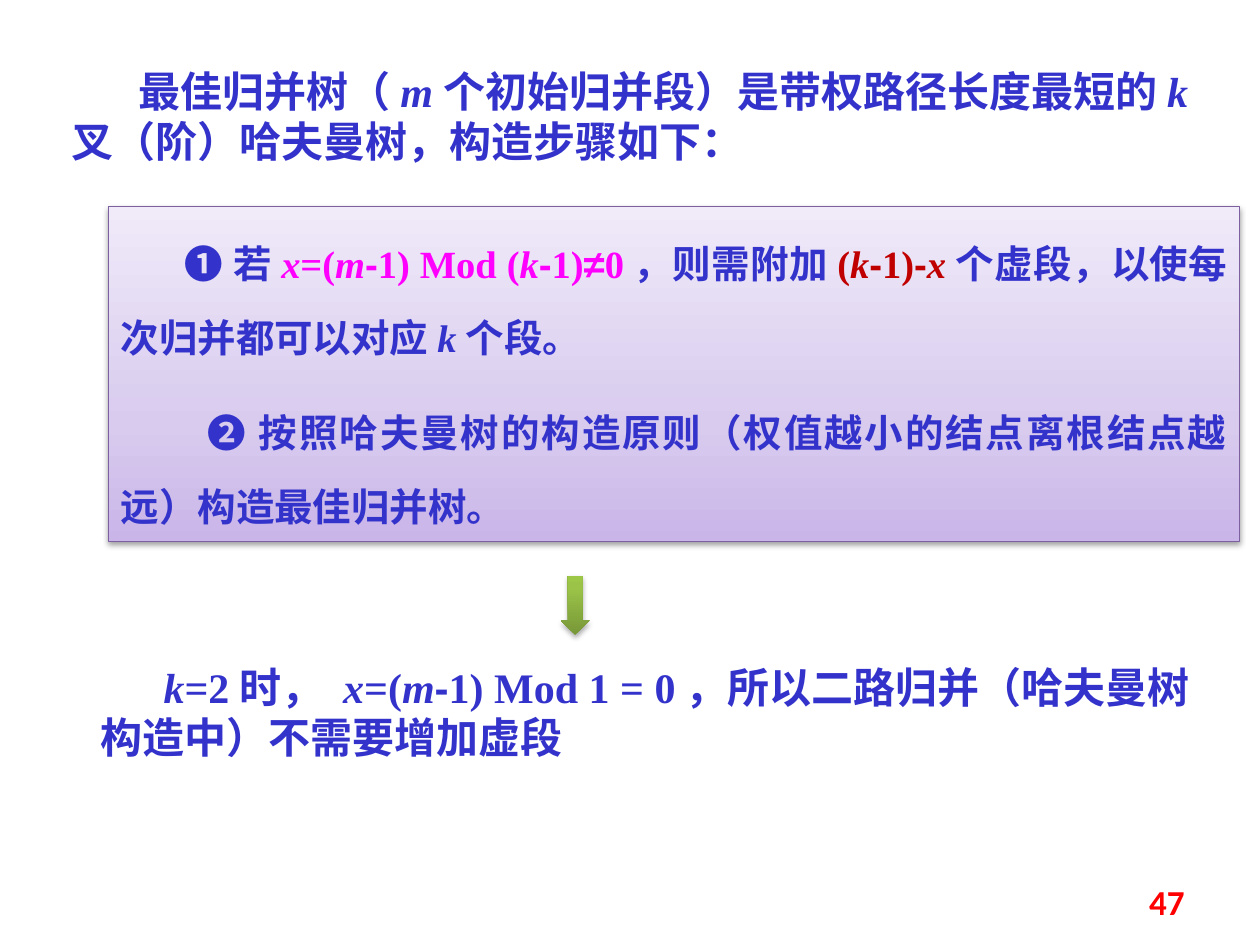
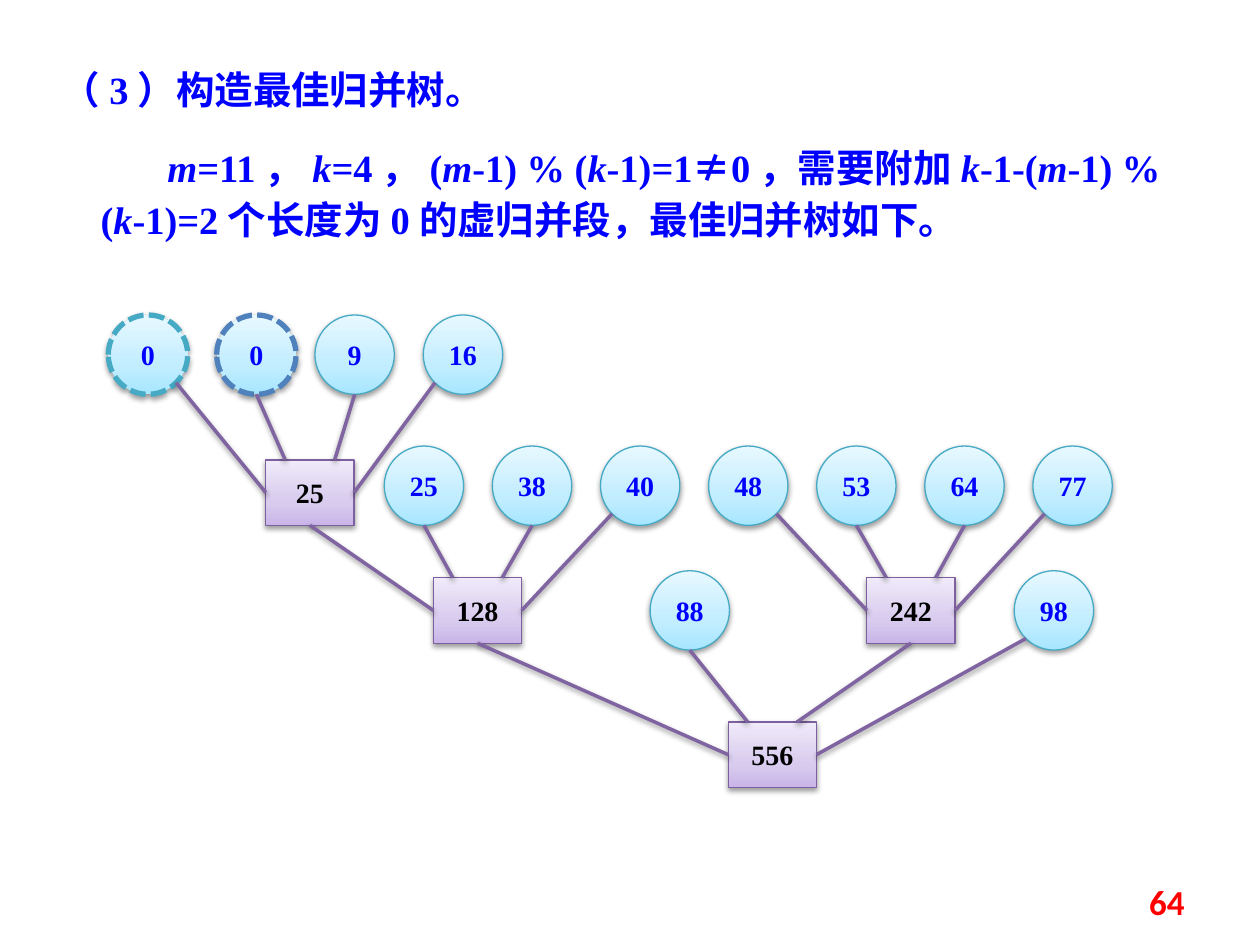
from dataclasses import dataclass
from itertools import groupby
from math import sqrt

from lxml.etree import SubElement
from pptx import Presentation
from pptx.dml.color import RGBColor
from pptx.enum.dml import MSO_LINE
from pptx.enum.shapes import MSO_CONNECTOR, MSO_SHAPE
from pptx.enum.text import MSO_ANCHOR, MSO_AUTO_SIZE, PP_ALIGN
from pptx.oxml.ns import qn
from pptx.util import Inches, Pt

OVAL, RECT, DOWN = MSO_SHAPE.OVAL, MSO_SHAPE.RECTANGLE, MSO_SHAPE.DOWN_ARROW
STRAIGHT = MSO_CONNECTOR.STRAIGHT
DASHED = MSO_LINE.SQUARE_DOT
TOP, MIDDLE = MSO_ANCHOR.TOP, MSO_ANCHOR.MIDDLE
LEFT, CENTER, RIGHT, JUSTIFY = (PP_ALIGN.LEFT, PP_ALIGN.CENTER,
                                PP_ALIGN.RIGHT, PP_ALIGN.JUSTIFY)
GROW, FIXED = MSO_AUTO_SIZE.SHAPE_TO_FIT_TEXT, MSO_AUTO_SIZE.NONE
TITLE_ONLY, BLANK = 5, 6

COLUMNS, ROWS = 100, 75
CELL = Inches(0.1)

SERIF, SANS, CJK, NUMBERS = ("Times New Roman", "Arial",
                             "Noto Sans CJK SC", "Calibri")
INDIGO, BLUE, MAGENTA, CRIMSON = "3333CC", "0000FF", "FF00FF", "C00000"
RED, BLACK, TEAL, STEEL = "FF0000", "000000", "46AAC5", "4F81BD"
VIOLET, EDGE_VIOLET = "7D60A0", "8064A2"
LILAC_FADE = [(0, "C9B5E8"), (35, "D8CBEE"), (100, "F0EAF9")]
SKY_FADE = [(0, "A7E6FF"), (35, "C1EDFF"), (100, "E7F8FF")]
GREEN_FADE = [(0, "779737"), (80, "9BC348"), (100, "9DC746")]

LEAF_SIZE = 6.3
MERGE_WIDTH, MERGE_HEIGHT = 7, 5.2
LEAF_STEP = 8.58


@dataclass
class Node:
    x: float
    y: float
    is_leaf: bool

    def exit_point(self, slot):
        if not self.is_leaf:
            return self.x, self.y + MERGE_HEIGHT / 2
        radius = LEAF_SIZE / 2
        diagonal = radius / sqrt(2)
        shift, drop = [(diagonal, diagonal), (0, radius),
                       (0, radius), (-diagonal, diagonal)][slot]
        return self.x + shift, self.y + drop

    def entry_point(self, slot):
        side, top = MERGE_WIDTH / 2, -MERGE_HEIGHT / 2
        shift, drop = [(-side, 0), (-0.28 * MERGE_WIDTH, top),
                       (0.28 * MERGE_WIDTH, top), (side, 0)][slot]
        return self.x + shift, self.y + drop


def rgb(code):
    return RGBColor.from_string(code)


def grid(*cells):
    return [int(cell * CELL) for cell in cells]


def cast_shadow(item, opacity=38):
    effects = SubElement(item._element.spPr, qn("a:effectLst"))
    shadow = SubElement(effects, qn("a:outerShdw"), blurRad="40000",
                        dist="20000", dir="5400000", rotWithShape="0")
    black = SubElement(shadow, qn("a:srgbClr"), val=BLACK)
    SubElement(black, qn("a:alpha"), val=str(opacity * 1000))


def fade(shape, stops):
    shape.fill.gradient()
    shape.fill.gradient_angle = 90
    stop_list = shape._element.spPr.find(".//" + qn("a:gsLst"))
    stop_list.clear()
    for position, code in stops:
        stop = SubElement(stop_list, qn("a:gs"), pos=str(position * 1000))
        SubElement(stop, qn("a:srgbClr"), val=code)


def add_faded(slide, kind, place, stops, line=None, weight=0.75, dash=None,
              opacity=38):
    shape = slide.shapes.add_shape(kind, *grid(*place))
    fade(shape, stops)
    if line:
        shape.line.color.rgb = rgb(line)
        shape.line.width = Pt(weight)
        if dash:
            shape.line.dash_style = dash
    else:
        shape.line.fill.background()
    cast_shadow(shape, opacity)
    return shape


def style(paragraph, size, color, font=SERIF, align=LEFT, indent=0):
    paragraph.alignment = align
    paragraph.font.size = Pt(size)
    paragraph.font.bold = True
    paragraph.font.color.rgb = rgb(color)
    paragraph.font.name = font
    properties = paragraph._p.get_or_add_pPr()
    SubElement(properties.find(qn("a:defRPr")), qn("a:ea"), typeface=CJK)
    if indent:
        properties.set("marL", "0")
        properties.set("indent", str(grid(indent)[0]))


def write(paragraph, parts, symbol_fonts):
    italic = False
    for text, color in parts:
        for index, piece in enumerate(text.split("_")):
            if index:
                italic = not italic
            for font, letters in groupby(piece, symbol_fonts.get):
                run = paragraph.add_run()
                run.text = "".join(letters)
                if italic:
                    run.font.italic = True
                if font:
                    run.font.name = font
                if color:
                    run.font.color.rgb = rgb(color)


def add_text(slide, place, parts, size, color, indent=0, spacing=None,
             symbol_fonts=None):
    frame = slide.shapes.add_textbox(*grid(*place)).text_frame
    frame.word_wrap = True
    frame.auto_size = GROW
    paragraph = frame.paragraphs[0]
    write(paragraph, parts, symbol_fonts or {})
    style(paragraph, size, color, indent=indent)
    if spacing:
        paragraph.line_spacing = Pt(spacing)


def add_page_number(slide, number):
    place = 0.717 * COLUMNS, 0.927 * ROWS, 0.233 * COLUMNS, 4
    frame = slide.shapes.add_textbox(*grid(*place)).text_frame
    frame.word_wrap = True
    frame.vertical_anchor = MIDDLE
    frame.text = str(number)
    style(frame.paragraphs[0], 20, RED, NUMBERS, RIGHT)


def add_steps(slide, place, steps, symbol_fonts):
    panel = add_faded(slide, RECT, place, LILAC_FADE, VIOLET)
    frame = panel.text_frame
    frame.word_wrap = True
    frame.auto_size = GROW
    frame.vertical_anchor = TOP
    for index, (indent, parts) in enumerate(steps):
        paragraph = frame.add_paragraph() if index else frame.paragraphs[0]
        write(paragraph, parts, symbol_fonts)
        style(paragraph, 22, INDIGO, align=JUSTIFY, indent=indent)
        paragraph.line_spacing = 1.6
        paragraph.space_before = Pt(12)


def label(shape, value, color):
    frame = shape.text_frame
    frame.margin_left = frame.margin_right = 0
    frame.vertical_anchor = MIDDLE
    frame.text = str(value)
    style(frame.paragraphs[0], 16, color, align=CENTER)


def add_leaf(slide, value, x, y, line=TEAL, weight=0.75, dash=None):
    place = x - LEAF_SIZE / 2, y - LEAF_SIZE / 2, LEAF_SIZE, LEAF_SIZE
    label(add_faded(slide, OVAL, place, SKY_FADE, line, weight, dash),
          value, BLUE)
    return Node(x, y, True)


def add_edge(slide, start, end):
    edge = slide.shapes.add_connector(STRAIGHT, *grid(*start, *end))
    edge.line.color.rgb = rgb(EDGE_VIOLET)
    edge.line.width = Pt(2)
    cast_shadow(edge)


def add_merge(slide, value, x, y, children):
    place = (x - MERGE_WIDTH / 2, y - MERGE_HEIGHT / 2,
             MERGE_WIDTH, MERGE_HEIGHT)
    label(add_faded(slide, RECT, place, LILAC_FADE, VIOLET), value, BLACK)
    merged = Node(x, y, False)
    for slot, child in enumerate(children):
        add_edge(slide, child.exit_point(slot), merged.entry_point(slot))
    return merged


def build_method(deck):
    slide = deck.slides.add_slide(deck.slide_layouts[BLANK])
    symbols = {"-": SANS, "≠": SANS}
    add_steps(slide, (8.6, 16.4, 89.8, 26.6), [
        (5.1, [("❶ 若", None),
               ("_x_=(_m_-1) Mod (_k_-1)≠0", MAGENTA),
               ("，则需附加", None),
               ("(_k_-1)-_x_", CRIMSON),
               ("个虚段，以使每次归并都可以对应_k_个段。", None)]),
        (6.9, [("❷ 按照哈夫曼树的构造原则（权值越小的结点离根结点越远）"
                "构造最佳归并树。", None)]),
    ], symbols)
    add_text(slide, (4.7, 4.7, 90.6, 9.1),
             [("最佳归并树（_m_个初始归并段）是带权路径长度最短的_k_"
               "叉（阶）哈夫曼树，构造步骤如下：", None)],
             24, INDIGO, indent=5.3)
    add_text(slide, (7, 52, 89.8, 9.1),
             [("_k_=2时，_ x_=(_m_-1) Mod 1 = 0，所以二路归并"
               "（哈夫曼树构造中）不需要增加虚段", None)],
             24, INDIGO, indent=5, symbol_fonts=symbols)
    add_faded(slide, DOWN, (44.5, 45.7, 2.3, 4.7), GREEN_FADE, opacity=35)
    add_page_number(slide, 47)


def add_heading(slide, place, text):
    title = slide.shapes.title
    title.left, title.top, title.width, title.height = grid(*place)
    frame = title.text_frame
    frame.text = text
    frame.auto_size = FIXED
    frame.vertical_anchor = TOP
    style(frame.paragraphs[0], 22, BLUE)
    frame.paragraphs[0].line_spacing = Pt(30)


def add_tree(slide):
    top, middle, low = 28.15, 38.55, 48.45
    padding = [add_leaf(slide, 0, x, top, line, 3, DASHED)
               for x, line in ((11.75, TEAL), (20.35, STEEL))]
    smallest = padding + [add_leaf(slide, 9, 28.15, top),
                          add_leaf(slide, 16, 36.75, top)]
    leaves = [add_leaf(slide, value, 33.65 + index * LEAF_STEP, middle)
              for index, value in enumerate((25, 38, 40, 48, 53, 64, 77))]
    first = add_merge(slide, 25, 24.6, 39.1, smallest)
    second = add_merge(slide, 128, 37.9, low, [first] + leaves[:3])
    third = add_merge(slide, 242, 72.3, low, leaves[3:])
    inner = add_leaf(slide, 88, 54.75, low)
    outer = add_leaf(slide, 98, 83.65, low)
    add_merge(slide, 556, 61.3, 59.9, [second, inner, third, outer])


def build_example(deck):
    slide = deck.slides.add_slide(deck.slide_layouts[TITLE_ONLY])
    add_heading(slide, (3.9, 4.2, 50, 4.9), "（3）构造最佳归并树。")
    add_text(slide, (7, 10.4, 87.5, 9.1),
             [("_m_=11，_k_=4，(_m_-1) % (_k_-1)=1≠0，需要附加"
               "_k_-1-(_m_-1) % (_k_-1)=2个长度为0的虚归并段，"
               "最佳归并树如下。", None)],
             22, BLUE, indent=5.3, spacing=30, symbol_fonts={"≠": CJK})
    add_tree(slide)
    add_page_number(slide, 64)


def main():
    deck = Presentation()
    deck.slide_width, deck.slide_height = grid(COLUMNS, ROWS)
    build_method(deck)
    build_example(deck)
    deck.save("out.pptx")


main()
